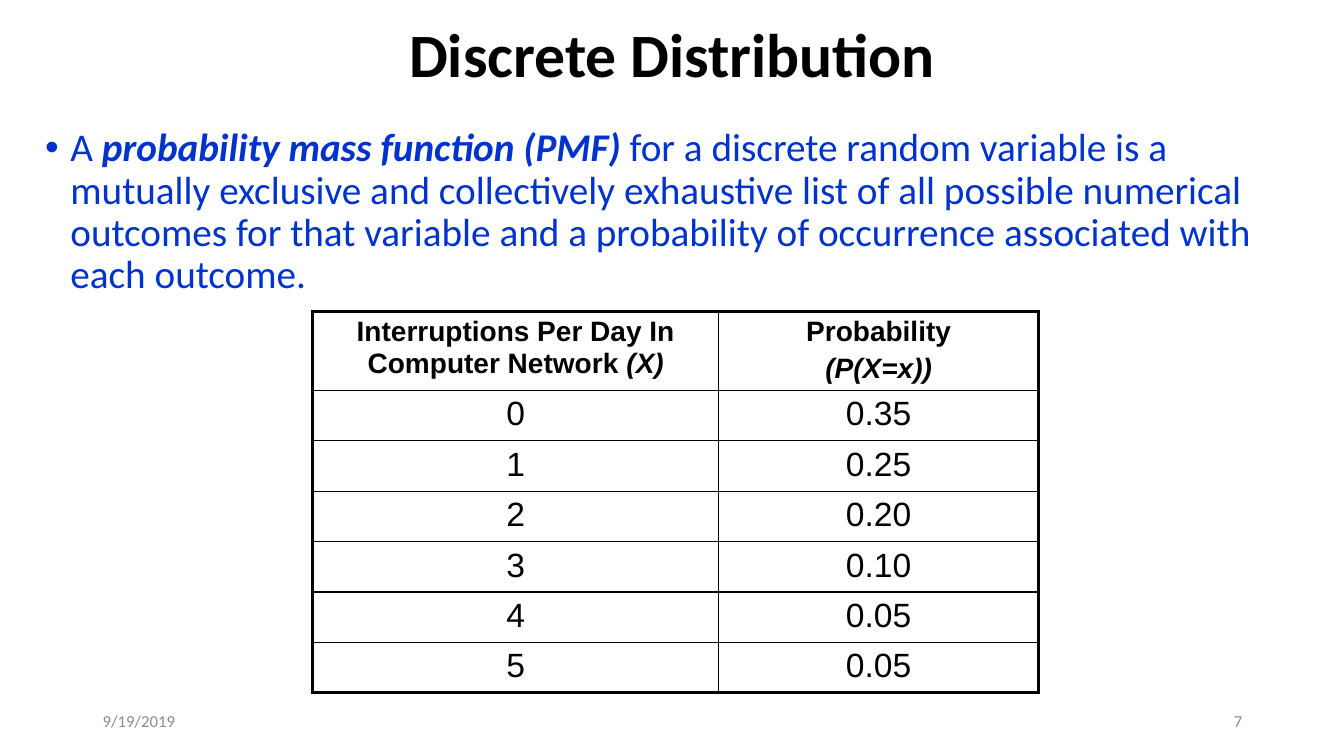
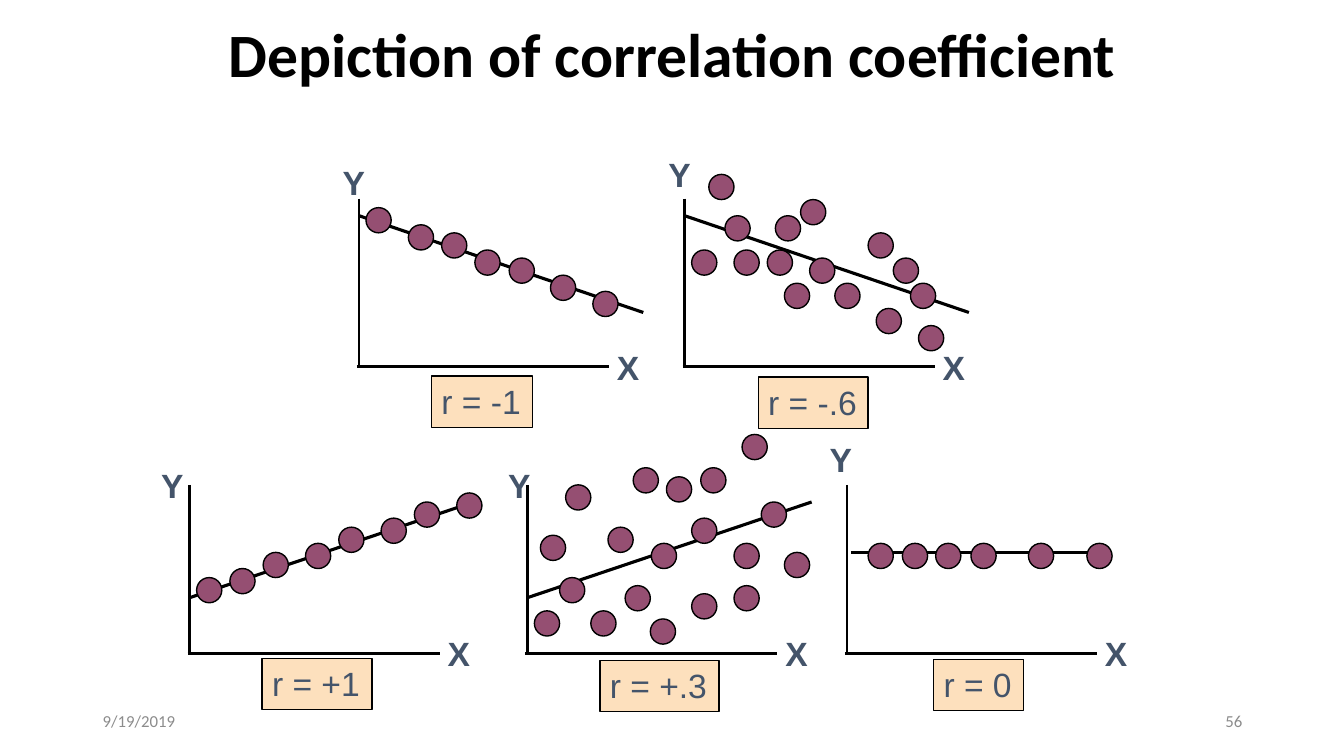
from dataclasses import dataclass

from pptx import Presentation
from pptx import util as u
from pptx.dml import color
from pptx.enum import shapes, text
from pptx.oxml import xmlchemy, ns
from lxml import etree

BLACK, BLUE, GREY = "000000", "0033CC", "8C8C8C"
SLATE, PLUM, PEACH = "44546A", "954F72", "FDE0BD"
HEADING_FONT, FIGURE_FONT = "Calibri", "Arial"
ALIGN = text.PP_ALIGN
DOT = 0.25
THIN, THICK = 1, 2.25


def rgb(value):
    return color.RGBColor.from_string(value)


def add_xml(parent, tag, **attributes):
    return etree.SubElement(parent, ns.qn(tag), attributes)


@dataclass
class Plot:
    """Scatter sketch; trend, y_label and box are offsets from the origin."""
    origin: tuple
    trend: tuple
    y_label: tuple
    caption: str
    box: tuple  # left offset, top offset, width
    dots: list  # top-left corners on the slide


class Deck:
    def __init__(self):
        self.presentation = Presentation()
        self.presentation.slide_width = u.Inches(13.33)
        self.presentation.slide_height = u.Inches(7.5)
        self.slide = None

    # Shared slide frame: title, date and number
    def new_slide(self, title, number):
        layout = self.presentation.slide_layouts[5]
        self.slide = self.presentation.slides.add_slide(layout)
        heading = self.slide.shapes.title
        heading.left, heading.top, heading.width, heading.height = map(
            u.Inches, (0.92, 0.12, 11.5, 0.91))
        frame = heading.text_frame
        frame.auto_size = text.MSO_AUTO_SIZE.NONE
        frame.vertical_anchor = text.MSO_ANCHOR.MIDDLE
        paragraph = frame.paragraphs[0]
        paragraph.alignment = ALIGN.CENTER
        paragraph.line_spacing = 0.9
        self.run(paragraph, title, 44, bold=True)
        for left, words, align in ((0.92, "9/19/2019", ALIGN.LEFT),
                                   (9.42, number, ALIGN.RIGHT)):
            frame = self.text_box(left, 6.95, 3, 0.4)
            frame.vertical_anchor = text.MSO_ANCHOR.MIDDLE
            frame.paragraphs[0].alignment = align
            self.run(frame.paragraphs[0], words, 12, GREY)

    # Text
    def run(self, paragraph, words, size, fill=BLACK, font=HEADING_FONT,
            bold=False, italic=False):
        run = paragraph.add_run()
        run.text = words
        run.font.size = u.Pt(size)
        run.font.name = font
        run.font.bold, run.font.italic = bold, italic
        run.font.color.rgb = rgb(fill)

    def text_box(self, left, top, width, height):
        box = self.slide.shapes.add_textbox(
            *map(u.Inches, (left, top, width, height)))
        box.text_frame.word_wrap = True
        return box.text_frame

    def bullet(self, left, top, width, height, runs):
        paragraph = self.text_box(left, top, width, height).paragraphs[0]
        paragraph.line_spacing = 0.9
        paragraph.space_before = u.Pt(10)
        properties = paragraph._p.get_or_add_pPr()
        indent = u.Inches(0.25)
        properties.set("marL", str(indent))
        properties.set("indent", str(-indent))
        add_xml(properties, "a:buFont", typeface="Arial")
        add_xml(properties, "a:buChar", char="•")
        for words, strong in runs:
            self.run(paragraph, words, 28, BLUE, bold=strong, italic=strong)

    def fit_text(self, frame, words, bold=False):
        frame.word_wrap = False
        frame.auto_size = text.MSO_AUTO_SIZE.SHAPE_TO_FIT_TEXT
        frame.vertical_anchor = text.MSO_ANCHOR.TOP
        frame.paragraphs[0].alignment = ALIGN.LEFT
        self.run(frame.paragraphs[0], words, 24, SLATE, FIGURE_FONT, bold)

    def axis_label(self, left, top, words):
        self.fit_text(self.text_box(left, top, 0.42, 0.5), words, True)

    # Shapes and lines
    def shape(self, kind, left, top, width, height, fill):
        shape = self.slide.shapes.add_shape(
            kind, *map(u.Inches, (left, top, width, height)))
        shape.shadow.inherit = False
        shape.fill.solid()
        shape.fill.fore_color.rgb = rgb(fill)
        shape.line.color.rgb = rgb(BLACK)
        shape.line.width = u.Pt(THIN)
        return shape

    def line(self, x1, y1, x2, y2, width):
        line = self.slide.shapes.add_connector(
            shapes.MSO_CONNECTOR.STRAIGHT, *map(u.Inches, (x1, y1, x2, y2)))
        line.line.color.rgb = rgb(BLACK)
        line.line.width = u.Pt(width)
        add_xml(line._element.spPr, "a:effectLst")

    # Table
    def cell_borders(self, cell, widths):
        properties = cell._tc.get_or_add_tcPr()
        for side, width in zip("LRTB", widths):
            border = add_xml(properties, f"a:ln{side}", w=str(u.Pt(width)))
            fill = add_xml(border, "a:solidFill")
            add_xml(fill, "a:srgbClr", val=BLACK)

    def table(self, left, top, columns, heights, rows):
        graphic = self.slide.shapes.add_table(
            len(rows), len(columns), *map(
                u.Inches, (left, top, sum(columns), sum(heights))))
        table = graphic.table
        table.first_row = table.horz_banding = False
        for column, width in zip(table.columns, columns):
            column.width = u.Inches(width)
        last_row, last_column = len(rows) - 1, len(columns) - 1
        for i, (row, height) in enumerate(zip(rows, heights)):
            table.rows[i].height = u.Inches(height)
            for j, paragraphs in enumerate(row):
                cell = table.cell(i, j)
                cell.margin_bottom = u.Inches(0.01)
                outer = (j == 0, j == last_column, i == 0, i == last_row)
                self.cell_borders(
                    cell, [THICK if edge else THIN for edge in outer])
                cell.fill.background()
                self.cell_text(cell.text_frame, paragraphs, i == 0)

    def cell_text(self, frame, paragraphs, header):
        size = 20 if header else 24
        for k, runs in enumerate(paragraphs):
            paragraph = frame.add_paragraph() if k else frame.paragraphs[0]
            paragraph.alignment = ALIGN.CENTER
            paragraph.space_before = u.Pt(0.2 * size)
            for words, italic in runs:
                self.run(paragraph, words, size, BLACK, FIGURE_FONT,
                         header, italic)

    # Scatter sketch
    def plot(self, plot):
        x, y = plot.origin
        self.line(x, y - 1.67, x, y, 2)
        self.line(x - 0.02, y, x + 2.48, y, 2)
        x1, y1, x2, y2 = plot.trend
        self.line(x + x1, y + y1, x + x2, y + y2, THICK)
        for left, top in plot.dots:
            self.shape(shapes.MSO_SHAPE.OVAL, left, top, DOT, DOT, PLUM)
        self.axis_label(x + plot.y_label[0], y + plot.y_label[1], "Y")
        self.axis_label(x + 2.46, y - 0.25, "X")
        left, top, width = plot.box
        box = self.shape(shapes.MSO_SHAPE.RECTANGLE, x + left, y + top,
                         width, 0.51, PEACH)
        self.fit_text(box.text_frame, plot.caption)


FALLING = (0, -1.5, 2.82, -0.54)
RISING = (0, -0.55, 2.82, -1.5)
LEVEL = (0.04, -1, 2.54, -1)
UPPER, LOWER = 3.64, 6.48

PLOTS = [
    Plot((3.56, UPPER), FALLING, (-0.26, -2.08), "r = -1", (0.72, 0.09, 1),
         [(3.63, 2.06), (4.05, 2.23), (4.38, 2.31), (4.71, 2.48),
          (5.05, 2.56), (5.46, 2.73), (5.88, 2.89)]),
    Plot((6.79, UPPER), FALLING, (-0.26, -2.16), "r = -.6",
         (0.73, 0.1, 1.09),
         [(6.86, 2.48), (7.03, 1.73), (7.19, 2.14), (7.28, 2.48),
          (7.61, 2.48), (7.69, 2.14), (7.78, 2.81), (7.94, 1.98),
          (8.03, 2.56), (8.28, 2.81), (8.61, 2.31), (8.69, 3.06),
          (8.86, 2.56), (9.03, 2.81), (9.11, 3.23)]),
    Plot((1.88, LOWER), RISING, (-0.38, -1.92), "r = +1",
         (0.72, 0.05, 1.09),
         [(1.95, 5.73), (2.28, 5.64), (2.61, 5.48), (3.03, 5.39),
          (3.36, 5.23), (3.78, 5.14), (4.11, 4.98), (4.53, 4.89)]),
    Plot((5.23, LOWER), RISING, (-0.29, -1.92), "r = +.3",
         (0.72, 0.07, 1.18),
         [(5.3, 6.06), (5.36, 5.31), (5.55, 5.73), (5.61, 4.81),
          (5.86, 6.06), (6.03, 5.23), (6.2, 5.81), (6.28, 4.64),
          (6.45, 6.14), (6.46, 5.39), (6.61, 4.73), (6.86, 5.14),
          (6.86, 5.89), (6.95, 4.64), (7.28, 5.39), (7.28, 5.81),
          (7.36, 4.31), (7.55, 4.98), (7.78, 5.48)]),
    Plot((8.4, LOWER), LEVEL, (-0.27, -2.17), "r = 0", (0.86, 0.06, 0.89),
         [(left, 5.39) for left in (8.61, 8.95, 9.28, 9.63, 10.2, 10.78)]),
]


def main():
    deck = Deck()

    # Probability table
    deck.new_slide("Discrete Distribution", "7")
    deck.bullet(0.35, 1.22, 12.71, 1.8, [
        ("A ", False),
        ("probability mass function (PMF) ", True),
        ("for a discrete random variable is a mutually exclusive and "
         "collectively exhaustive list of all possible numerical outcomes "
         "for that variable and a probability of occurrence associated "
         "with each outcome.", False)])
    header = [
        [[("Interruptions Per Day In Computer Network ", False),
          ("(X)", True)]],
        [[("Probability", False)], [("(P(X=x))", True)]]]
    probabilities = ["0.35", "0.25", "0.20", "0.10", "0.05", "0.05"]
    rows = [[[[(str(count), False)]], [[(probability, False)]]]
            for count, probability in enumerate(probabilities)]
    deck.table(3.1, 3.09, [4.03, 3.17], [0.77] + [0.5] * len(rows),
               [header] + rows)

    # Correlation sketches
    deck.new_slide("Depiction of correlation coefficient", "56")
    for plot in PLOTS:
        deck.plot(plot)

    deck.presentation.save("out.pptx")


if __name__ == "__main__":
    main()
